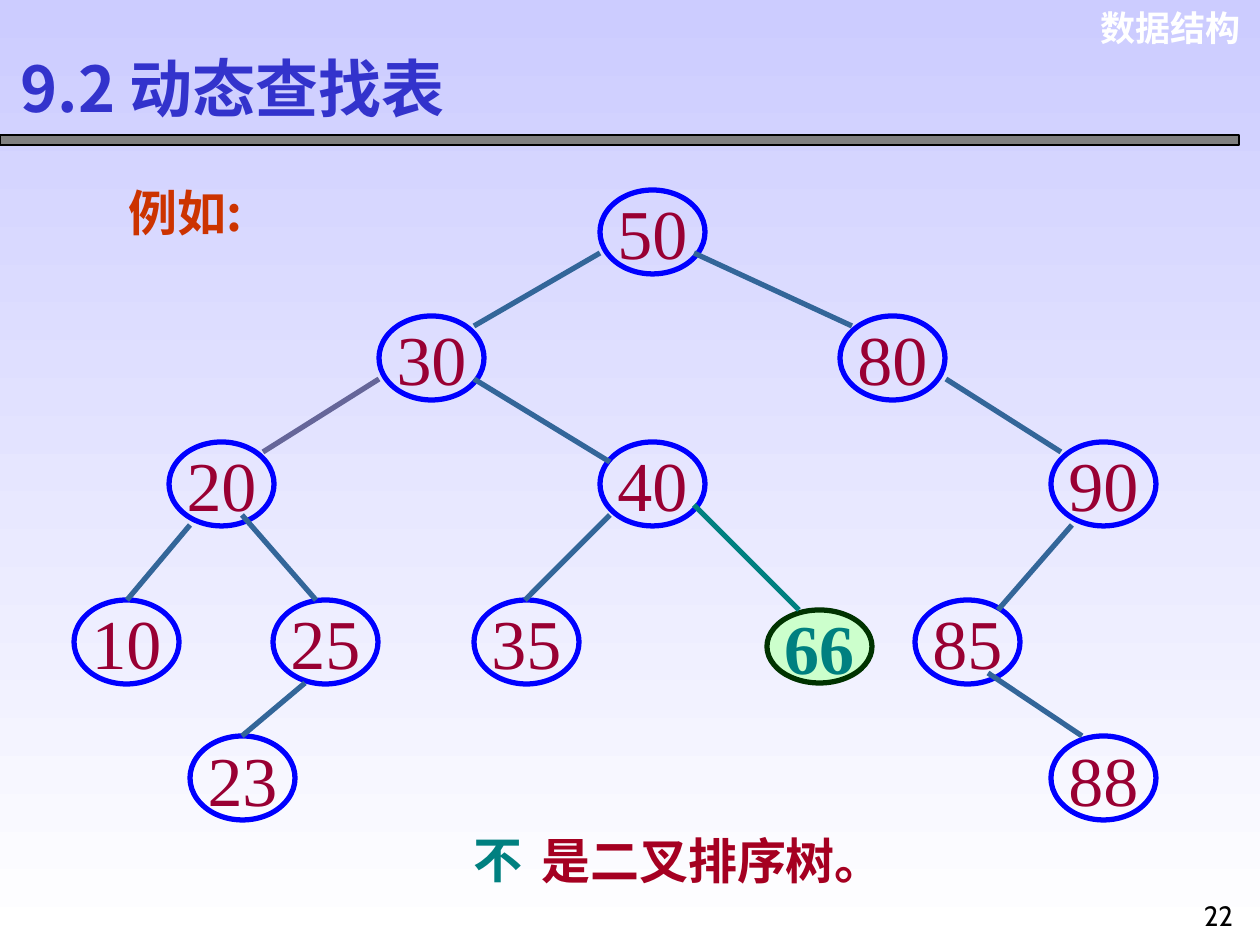
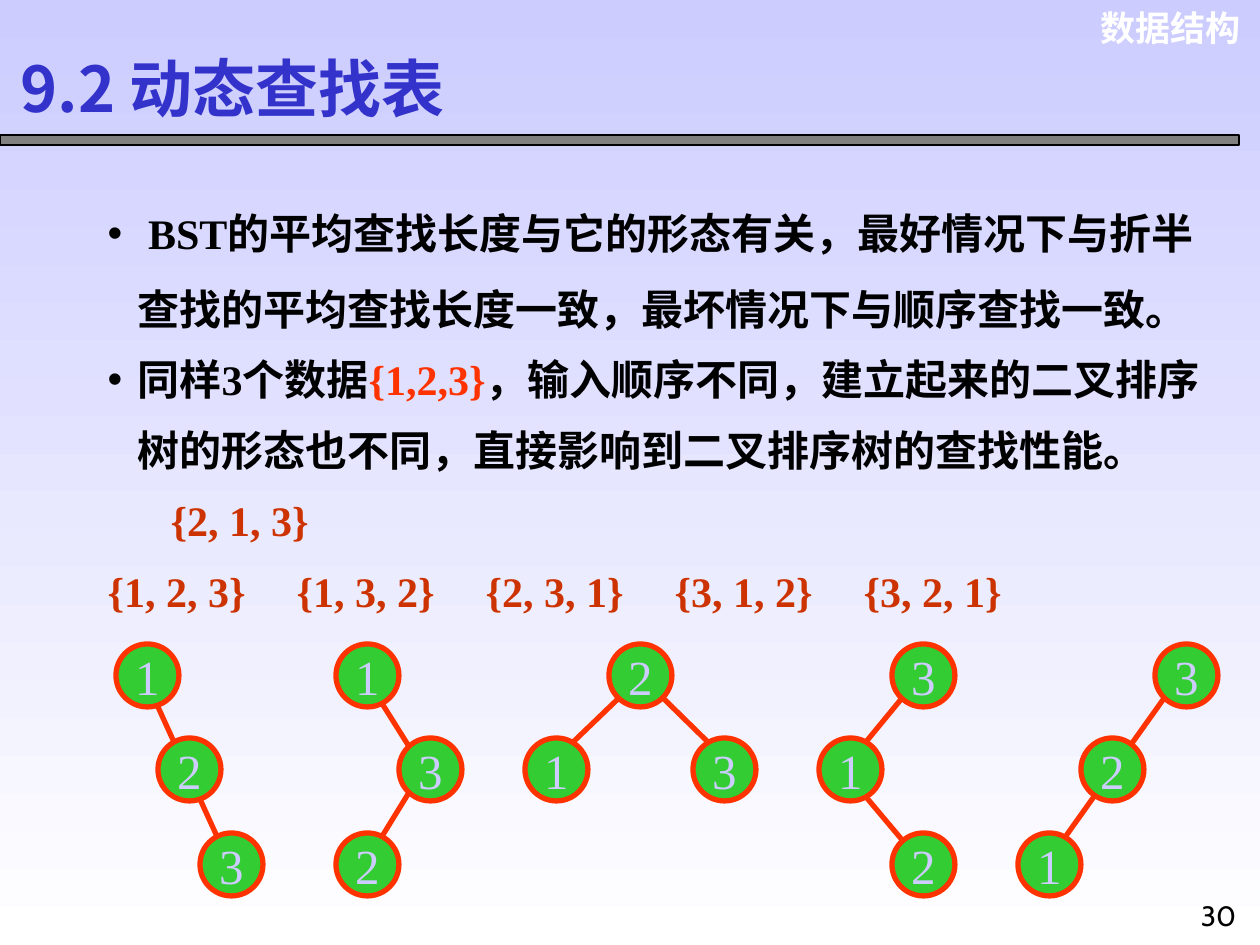
"""Build two slides on binary search trees from a data-structures course."""
from lxml import etree
from pptx import Presentation
from pptx import util as u
from pptx.dml import color as dml
from pptx.enum import shapes, text
from pptx.oxml import ns

PX = 7257
colour = dml.RGBColor.from_string
SERIF = "Times New Roman"
CJK = "Noto Sans CJK SC"
LEFT, CENTER, RIGHT = text.PP_ALIGN.LEFT, text.PP_ALIGN.CENTER, text.PP_ALIGN.RIGHT
TOP, MIDDLE = text.MSO_ANCHOR.TOP, text.MSO_ANCHOR.MIDDLE
FIT, FIXED = text.MSO_AUTO_SIZE.SHAPE_TO_FIT_TEXT, text.MSO_AUTO_SIZE.NONE


def write(shape, wording, name, size, hue, bold=False, align=LEFT, **frame_format):
    """Put one formatted line of text into a shape."""
    frame = shape.text_frame
    for attribute, value in frame_format.items():
        setattr(frame, attribute, value)
    paragraph = frame.paragraphs[0]
    paragraph.alignment = align
    run = paragraph.add_run()
    run.text = wording
    for attribute, value in {"name": name, "size": u.Pt(size), "bold": bold}.items():
        setattr(run.font, attribute, value)
    run.font.color.rgb = colour(hue)


def add_lines(slide, ends, hue):
    """Draw straight tree edges between pairs of points."""
    for points in ends:
        edge = slide.shapes.add_connector(shapes.MSO_CONNECTOR.STRAIGHT, *[PX * n for n in points])
        edge.line.color.rgb = colour(hue)
        edge.line.width = u.Pt(3)
        etree.SubElement(edge._element.spPr, ns.qn("a:effectLst"))


presentation = Presentation()
presentation.slide_width = u.Inches(10)
presentation.slide_height = u.Inches(7.5)
background = presentation.slide_master.background.fill
background.gradient()
background.gradient_angle = 270
for stop, hue, position in zip(background.gradient_stops, ("CCCCFF", "FFFFFF"), (0, 1)):
    stop.color.rgb = colour(hue)
    stop.position = position

for layout, page in ((5, "22"), (1, "30")):
    slide = presentation.slides.add_slide(presentation.slide_layouts[layout])
    title = slide.shapes.title
    title.left, title.top, title.width, title.height = [PX * n for n in (8, 43, 489, 164)]
    write(title, "9.2 动态查找表", CJK, 36, "3333CC", True,
          vertical_anchor=TOP, auto_size=FIXED, word_wrap=True)
    header = slide.shapes.add_textbox(*[PX * n for n in (1080, 0, 173, 55)])
    write(header, "数据结构", "Arial", 20, "FFFFFF", True, RIGHT, word_wrap=True)
    rule = slide.shapes.add_shape(shapes.MSO_SHAPE.RECTANGLE, *[PX * n for n in (0, 135, 1239, 10)])
    rule.shadow.inherit = False
    rule.fill.solid()
    rule.fill.fore_color.rgb = colour("808080")
    rule.line.color.rgb = colour("000000")
    rule.line.width = u.Pt(0.75)
    number = slide.shapes.add_textbox(*[PX * n for n in (1187, 892, 63, 53)])
    write(number, page, "Cabin", 16, "000000", align=CENTER, word_wrap=True)

example, shape_forms = presentation.slides

for wording, box, name, hue in (
    ("例如:", (116, 176, 164, 72), CJK, "CC3300"),
    ("不", (461, 823, 74, 72), SERIF, "008080"),
    ("是二叉排序树。", (529, 824, 368, 72), SERIF, "A50021"),
):
    caption = example.shapes.add_textbox(*[PX * n for n in box])
    write(caption, wording, name, 28, hue, True, word_wrap=False, auto_size=FIT)

body = shape_forms.placeholders[1]
body.left, body.top, body.width, body.height = [PX * n for n in (95, 176, 1131, 446)]
body.text_frame.auto_size = FIXED
BLACK, RED, BRICK = "000000", "FF3300", "CC3300"
paragraphs = [
    (1.5, True, [], [(" BST的平均查找长度与它的形态有关，最好情况下与折半查找的平均查找长度一致，"
                      "最坏情况下与顺序查找一致。", BLACK)]),
    (1.4, True, [], [("同样3个数据", BLACK), ("{1,2,3}", RED),
                     ("，输入顺序不同，建立起来的二叉排序树的形态也不同，"
                      "直接影响到二叉排序树的查找性能。", BLACK)]),
    (1.4, False, [462], [("\t{2, 1, 3}", BRICK)]),
    (1.4, False, [212, 465, 729, 961],
     [("{1, 2, 3}\t{1, 3, 2}\t{2, 3, 1}\t{3, 1, 2}\t{3, 2, 1}", BRICK)]),
]
for index, (spacing, bulleted, stops, runs) in enumerate(paragraphs):
    paragraph = body.text_frame.paragraphs[0] if index == 0 else body.text_frame.add_paragraph()
    properties = paragraph._p.get_or_add_pPr()
    indent = 30 * PX if bulleted else 0
    properties.set("marL", str(indent))
    properties.set("indent", str(-indent))
    if bulleted:
        bullet_colour = etree.SubElement(properties, ns.qn("a:buClr"))
        etree.SubElement(bullet_colour, ns.qn("a:srgbClr"), val=BLACK)
        etree.SubElement(properties, ns.qn("a:buChar"), char="•")
    else:
        etree.SubElement(properties, ns.qn("a:buNone"))
        tabs = etree.SubElement(properties, ns.qn("a:tabLst"))
        for stop in stops:
            etree.SubElement(tabs, ns.qn("a:tab"), pos=str(stop * PX), algn="l")
    paragraph.line_spacing = spacing
    paragraph.space_before = u.Pt(0)
    paragraph.alignment = LEFT
    for wording, hue in runs:
        run = paragraph.add_run()
        run.text = wording
        for attribute, value in {"name": SERIF, "size": u.Pt(24), "bold": True}.items():
            setattr(run.font, attribute, value)
        run.font.color.rgb = colour(hue)

add_lines(shape_forms, [
    (158, 707, 220, 843),
    (378, 697, 410, 748), (378, 843, 410, 791),
    (620, 697, 567, 748), (662, 697, 714, 748),
    (903, 697, 861, 748), (861, 791, 914, 854),
    (1165, 697, 1061, 843),
], RED)

example_nodes = [
    ("50", 600, 190), ("30", 379, 316), ("80", 840, 316),
    ("20", 169, 442), ("40", 600, 442), ("90", 1051, 442),
    ("10", 74, 600), ("25", 273, 600), ("35", 474, 600), ("85", 915, 600),
    ("23", 190, 736), ("88", 1051, 736),
]
first, second, third = 644, 738, 833
form_nodes = [
    ("1", 116, first), ("2", 158, second), ("3", 200, third),
    ("1", 336, first), ("3", 399, second), ("2", 336, third),
    ("2", 609, first), ("1", 525, second), ("3", 693, second),
    ("3", 892, first), ("1", 819, second), ("2", 892, third),
    ("3", 1155, first), ("2", 1081, second), ("1", 1018, third),
]
for slide, nodes, width, height, fill, outline, size, hue, bold in (
    (example, example_nodes, 105, 84, None, "0000FF", 40, "990033", False),
    (example, [("66", 767, 610)], 105, 73, "CCFFCC", "003300", 40, "008080", True),
    (shape_forms, form_nodes, 63, 63, "33CC33", RED, 28, "CCCCFF", False),
):
    for key, left, top in nodes:
        node = slide.shapes.add_shape(
            shapes.MSO_SHAPE.OVAL, *[PX * n for n in (left, top, width, height)])
        node.shadow.inherit = False
        if fill:
            node.fill.solid()
            node.fill.fore_color.rgb = colour(fill)
        else:
            node.fill.background()
        node.line.color.rgb = colour(outline)
        node.line.width = u.Pt(3)
        write(node, key, SERIF, size, hue, bold, CENTER, vertical_anchor=MIDDLE, word_wrap=False)

add_lines(example, [
    (600, 253, 474, 326), (694, 253, 852, 326), (474, 379, 610, 462),
    (190, 525, 127, 600), (242, 515, 316, 600), (305, 683, 242, 736),
    (610, 515, 525, 600), (946, 379, 1061, 452), (1072, 525, 998, 610),
    (988, 673, 1082, 736),
], "336699")
add_lines(example, [(379, 379, 263, 452)], "666699")
add_lines(example, [(694, 505, 799, 610)], "008080")

presentation.save("out.pptx")
